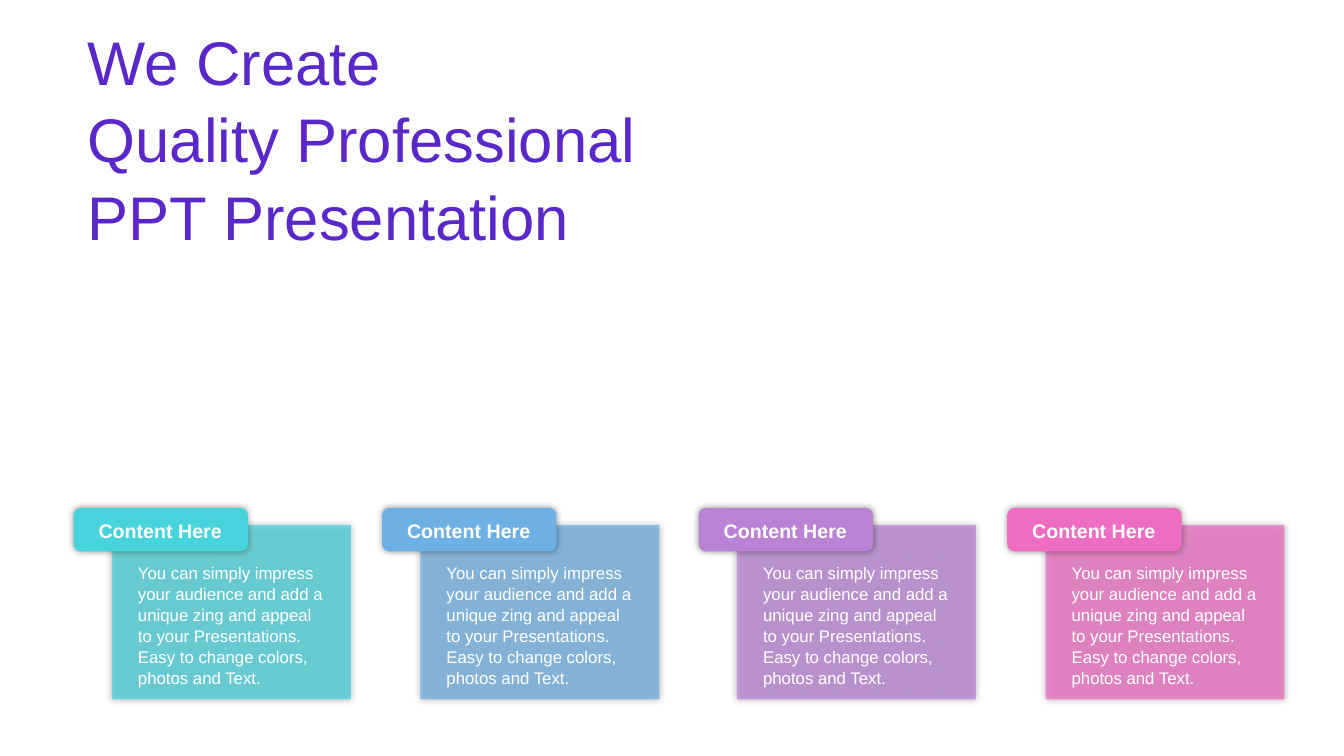
"""Builds a title slide with four coloured content cards."""
from dataclasses import dataclass

import pptx
import pptx.dml.color
import pptx.enum.shapes
import pptx.enum.text
import pptx.oxml
import pptx.oxml.ns
import pptx.util
from pptx.shapes.autoshape import Shape
from pptx.slide import Slide
from pptx.text.text import TextFrame

PX = 9144
WHITE = "FFFFFF"
TITLE_COLOR = "5A28C8"
TITLE_LINES = ["We Create", "Quality Professional", "PPT Presentation"]
LABEL = "Content Here"
BODY = (
    "You can simply impress your audience and add a unique zing and appeal "
    "to your Presentations. Easy to change colors, photos and Text."
)
CARD_LEFT, CARD_TOP = 73, 504
PAIR_PITCH, CARD_PITCH = 620, 306
CARD_COLORS = ["47D3DC", "6DB0E4", "B982D5", "EE6CC1"]


@dataclass(frozen=True)
class Box:
    """A rectangle in px."""

    left: int
    top: int
    width: int
    height: int

    def emu(self) -> list[int]:
        """Return left, top, width and height in EMU."""
        return [value * PX for value in (self.left, self.top, self.width, self.height)]

    def shifted(self, left: int, top: int) -> "Box":
        """Return the box moved by an offset."""
        return Box(self.left + left, self.top + top, self.width, self.height)


@dataclass(frozen=True)
class Card:
    """A card with the corner of its tab and its colour."""

    left: int
    top: int
    color: str


PANEL = Box(38, 17, 237, 173)
TAB = Box(0, 0, 173, 43)
TAB_TEXT = Box(6, 5, 160, 34)
PANEL_TEXT = Box(54, 48, 205, 131)


def rgb(color: str) -> pptx.dml.color.RGBColor:
    """Turn a hex string into a colour."""
    return pptx.dml.color.RGBColor.from_string(color)


def add_shadow(shape: Shape) -> None:
    """Give a shape a soft dark glow on all sides."""
    shape.shadow.inherit = False
    effects = shape._element.spPr.find(pptx.oxml.ns.qn("a:effectLst"))
    effects.append(pptx.oxml.parse_xml(
        f'<a:outerShdw {pptx.oxml.ns.nsdecls("a")} blurRad="{pptx.util.Pt(5)}" '
        'dist="0" algn="ctr" rotWithShape="0">'
        '<a:srgbClr val="000000"><a:alpha val="40000"/></a:srgbClr></a:outerShdw>'
    ))


def add_block(slide: Slide, kind: pptx.enum.shapes.MSO_SHAPE, box: Box,
              color: str, opacity: int = 100) -> None:
    """Draw a filled shape with a shadow."""
    shape = slide.shapes.add_shape(kind, *box.emu())
    shape.fill.solid()
    shape.fill.fore_color.rgb = rgb(color)
    shape.line.fill.background()
    if opacity < 100:
        fill_color = shape._element.spPr.find(".//" + pptx.oxml.ns.qn("a:srgbClr"))
        alpha = pptx.oxml.parse_xml(
            f'<a:alpha {pptx.oxml.ns.nsdecls("a")} val="{opacity * 1000}"/>')
        fill_color.append(alpha)
    add_shadow(shape)


def write_text(frame: TextFrame, lines: list[str], size: int, color: str,
               bold: bool = False, centered: bool = False) -> None:
    """Fill a text frame with paragraphs of one format."""
    frame.word_wrap = True
    frame.auto_size = pptx.enum.text.MSO_AUTO_SIZE.SHAPE_TO_FIT_TEXT
    frame.text = "\n".join(lines)
    alignment = pptx.enum.text.PP_ALIGN
    for paragraph in frame.paragraphs:
        paragraph.alignment = alignment.CENTER if centered else alignment.LEFT
        paragraph.line_spacing = 1.05
        paragraph.font.name = "Arial"
        paragraph.font.size = pptx.util.Pt(size)
        paragraph.font.bold = bold
        paragraph.font.color.rgb = rgb(color)


def add_title(slide: Slide) -> None:
    """Place and fill the title placeholder."""
    title = slide.shapes.title
    title.left, title.top, title.width, title.height = Box(83, 24, 583, 222).emu()
    frame = title.text_frame
    frame.margin_left = frame.margin_right = 4 * PX
    frame.margin_top = frame.margin_bottom = 0
    frame.vertical_anchor = pptx.enum.text.MSO_ANCHOR.MIDDLE
    write_text(frame, TITLE_LINES, 44, TITLE_COLOR)


def add_card(slide: Slide, card: Card) -> None:
    """Draw a panel, its tab and both texts."""
    kinds = pptx.enum.shapes.MSO_SHAPE
    corner = (card.left, card.top)
    add_block(slide, kinds.RECTANGLE, PANEL.shifted(*corner), card.color, opacity=70)
    add_block(slide, kinds.ROUNDED_RECTANGLE, TAB.shifted(*corner), card.color)
    label = slide.shapes.add_textbox(*TAB_TEXT.shifted(*corner).emu())
    write_text(label.text_frame, [LABEL], 14, WHITE, bold=True, centered=True)
    body = slide.shapes.add_textbox(*PANEL_TEXT.shifted(*corner).emu())
    write_text(body.text_frame, [BODY], 12, WHITE)


def main() -> None:
    """Build and save the presentation."""
    presentation = pptx.Presentation()
    presentation.slide_width = 1333 * PX
    presentation.slide_height = 750 * PX
    slide = presentation.slides.add_slide(presentation.slide_layouts[5])
    add_title(slide)
    for index, color in enumerate(CARD_COLORS):
        pair, position = divmod(index, 2)
        left = CARD_LEFT + pair * PAIR_PITCH + position * CARD_PITCH
        add_card(slide, Card(left, CARD_TOP, color))
    presentation.save("out.pptx")


if __name__ == "__main__":
    main()
